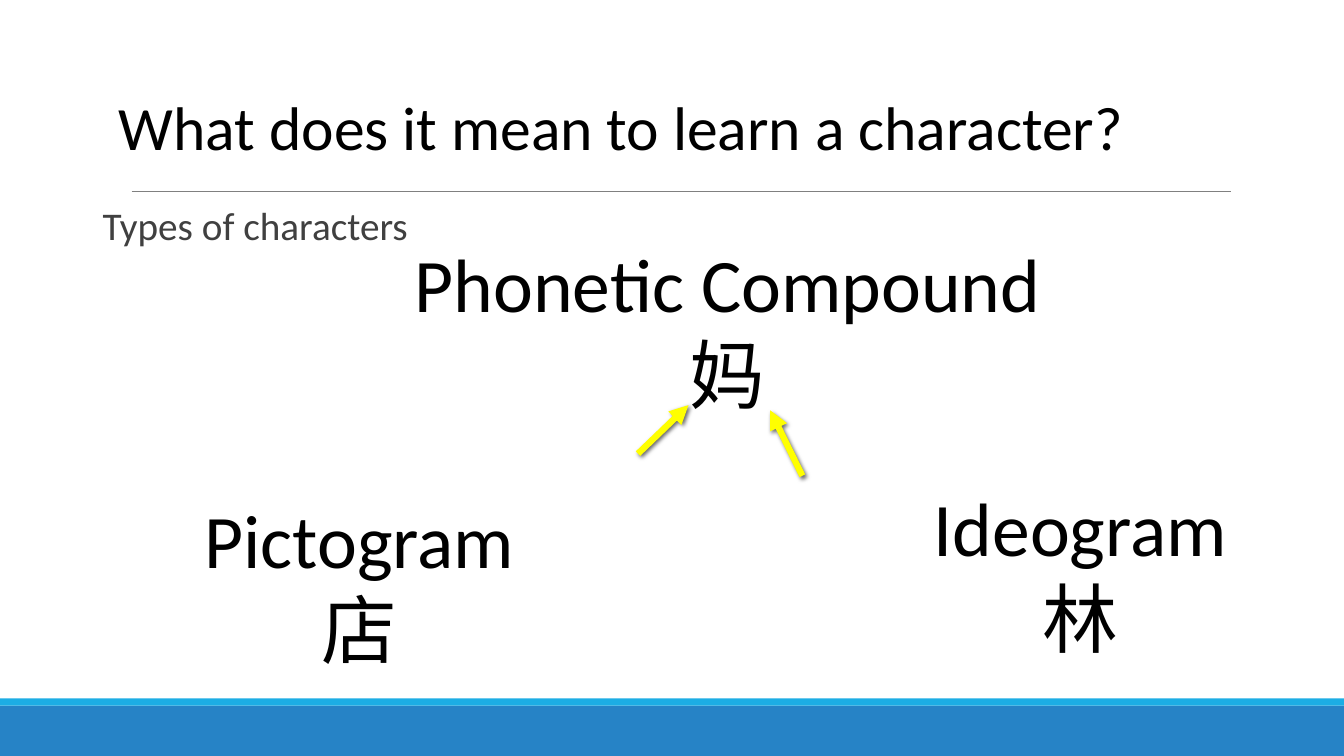
from lxml import etree
from pptx import Presentation
from pptx.dml.color import RGBColor
from pptx.enum.shapes import MSO_CONNECTOR, MSO_SHAPE
from pptx.enum.text import MSO_ANCHOR, MSO_AUTO_SIZE, PP_ALIGN
from pptx.oxml.ns import qn
from pptx.util import Cm, Pt

RECTANGLE = MSO_SHAPE.RECTANGLE
STRAIGHT = MSO_CONNECTOR.STRAIGHT
MIDDLE, TOP = MSO_ANCHOR.MIDDLE, MSO_ANCHOR.TOP
LEFT, CENTER = PP_ALIGN.LEFT, PP_ALIGN.CENTER
NO_AUTOFIT, GROW = MSO_AUTO_SIZE.NONE, MSO_AUTO_SIZE.SHAPE_TO_FIT_TEXT

BLACK = RGBColor(0x00, 0x00, 0x00)
DARK_GRAY = RGBColor(0x40, 0x40, 0x40)
RULE_GRAY = RGBColor(0x80, 0x80, 0x80)
BLUE = RGBColor(0x26, 0x83, 0xC6)
CYAN = RGBColor(0x1C, 0xAD, 0xE4)
YELLOW = RGBColor(0xFF, 0xFF, 0x00)

FONT = "Calibri"
SLIDE_W, SLIDE_H = 33.87, 19.05

TITLE_FRAME = {"word_wrap": True, "auto_size": NO_AUTOFIT, "vertical_anchor": MIDDLE}
SUBTITLE_FRAME = {"word_wrap": True, "auto_size": NO_AUTOFIT, "vertical_anchor": TOP,
                  "margin_left": Cm(0.25), "margin_right": 0}
TYPE_FRAME = {"word_wrap": False, "auto_size": GROW, "vertical_anchor": TOP}
HEADING_PARAGRAPH = {"alignment": LEFT, "line_spacing": 0.9}
TYPE_PARAGRAPH = {"alignment": CENTER}


def apply_format(target, values):
    for attribute, value in values.items():
        setattr(target, attribute, value)


def place(shape, box):
    apply_format(shape, dict(zip(("left", "top", "width", "height"), map(Cm, box))))


def write(shape, lines, frame_format, paragraph_format, size, color):
    frame = shape.text_frame
    apply_format(frame, frame_format)
    frame.text = "\n".join(lines)
    for paragraph in frame.paragraphs:
        apply_format(paragraph, paragraph_format)
        for run in paragraph.runs:
            apply_format(run.font, {"name": FONT, "size": Pt(size), "bold": False})
            run.font.color.rgb = color
            east_asian = etree.SubElement(run.font._element, qn("a:ea"))
            east_asian.set("typeface", FONT)


def add_line(slide, start, end, color, width):
    line = slide.shapes.add_connector(STRAIGHT, *map(Cm, (*start, *end)))
    line.line.color.rgb = color
    line.line.width = Pt(width)
    effects = etree.SubElement(line._element.spPr, qn("a:effectLst"))
    return line, effects


def add_arrow(slide, start, end):
    arrow, effects = add_line(slide, start, end, YELLOW, 4.5)
    etree.SubElement(arrow.line._get_or_add_ln(), qn("a:tailEnd"), type="triangle")
    shadow = etree.SubElement(effects, qn("a:outerShdw"), blurRad=str(Pt(3)),
                              dist=str(Pt(2)), dir="2700000", rotWithShape="0")
    shade = etree.SubElement(shadow, qn("a:srgbClr"), val=str(BLACK))
    etree.SubElement(shade, qn("a:alpha"), val="60000")


def build_footer(slide, box):
    left, top, width, height = box
    stripe = 0.18
    bands = (((left, top + stripe, width, height - stripe), BLUE),
             ((left, top, width, stripe), CYAN))
    for band_box, color in bands:
        band = slide.shapes.add_shape(RECTANGLE, *map(Cm, band_box))
        band.shadow.inherit = False
        band.fill.solid()
        band.fill.fore_color.rgb = color
        band.line.fill.background()


def build_heading(slide, box):
    left, top, width, height = box
    title = slide.shapes.title
    place(title, box)
    write(title, ["What does it mean to learn a character?"],
          TITLE_FRAME, HEADING_PARAGRAPH, 44, BLACK)
    rule_y = top + 3.38
    add_line(slide, (left + 0.58, rule_y), (left + 28.27, rule_y), RULE_GRAY, 0.5)


def build_subtitle(slide, box):
    subtitle = slide.shapes.add_textbox(*map(Cm, box))
    write(subtitle, ["Types of characters"],
          SUBTITLE_FRAME, HEADING_PARAGRAPH, 28, DARK_GRAY)


def build_character_type(slide, box, name, character):
    label = slide.shapes.add_textbox(*map(Cm, box))
    write(label, [name, character], TYPE_FRAME, TYPE_PARAGRAPH, 54, BLACK)


def build_phonetic_compound(slide, box):
    build_character_type(slide, box, "Phonetic Compound", "妈")
    left, top, width, height = box
    center, bottom = left + width / 2, top + height
    add_arrow(slide, (center - 2.26, bottom + 0.71), (center - 0.99, bottom - 0.51))
    add_arrow(slide, (center + 1.88, bottom + 1.27), (center + 1.07, bottom - 0.38))


def build_slide(presentation):
    slide = presentation.slides.add_slide(presentation.slide_layouts[5])
    build_footer(slide, (0, 17.6, SLIDE_W, SLIDE_H - 17.6))
    build_heading(slide, (2.74, 1.45, 29.21, 3.68))
    build_subtitle(slide, (2.34, 5.08, 9.3, 12.09))
    build_character_type(slide, (23.24, 11.99, 7.98, 4.88), "Ideogram", "林")
    build_character_type(slide, (4.85, 12.29, 8.41, 4.88), "Pictogram", "店")
    build_phonetic_compound(slide, (10.11, 5.84, 16.46, 4.88))


presentation = Presentation()
apply_format(presentation, {"slide_width": Cm(SLIDE_W), "slide_height": Cm(SLIDE_H)})
build_slide(presentation)
presentation.save("out.pptx")
